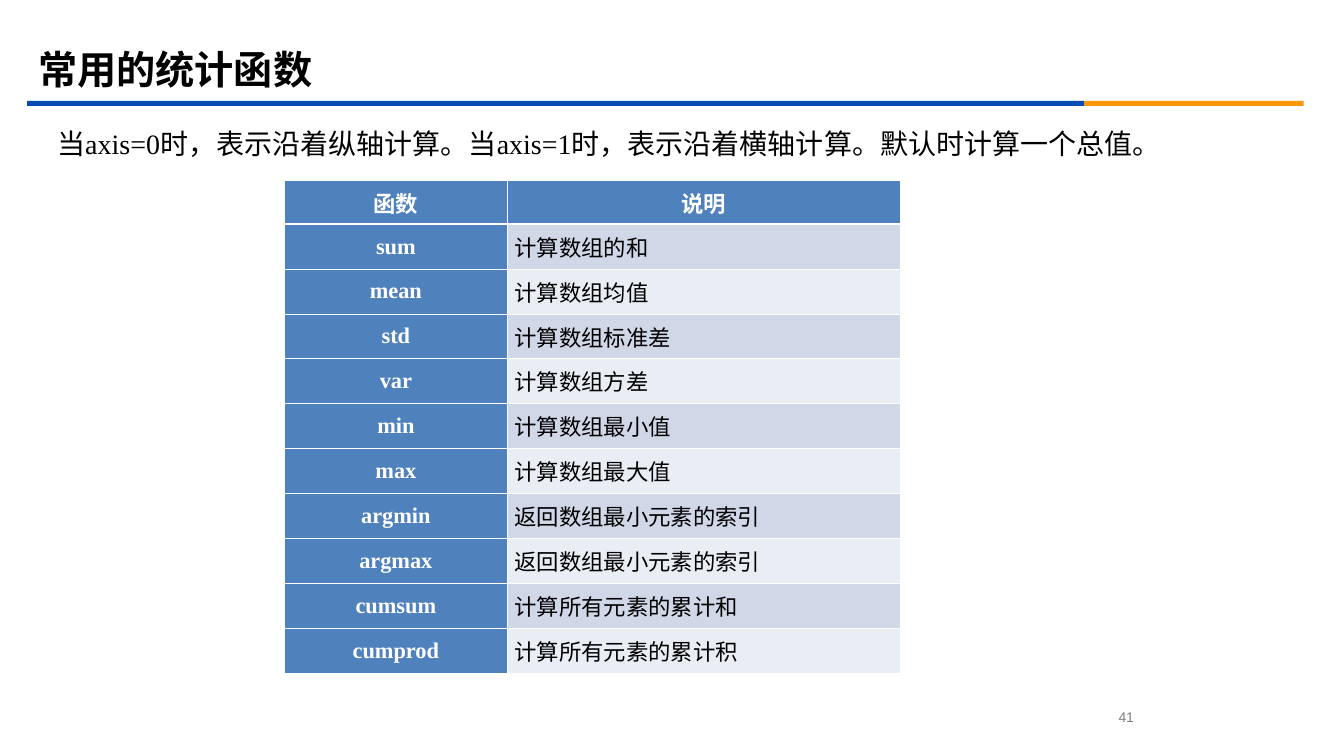
import dataclasses

import lxml.etree
import pptx
import pptx.dml.color
import pptx.enum.shapes
import pptx.enum.text
import pptx.oxml.ns
import pptx.util

Pt = pptx.util.Pt
RGBColor = pptx.dml.color.RGBColor
Align = pptx.enum.text.PP_ALIGN
Anchor = pptx.enum.text.MSO_ANCHOR

BLACK = RGBColor(0x00, 0x00, 0x00)
WHITE = RGBColor(0xFF, 0xFF, 0xFF)
GRAY = RGBColor(0x7F, 0x7F, 0x7F)
NAVY = RGBColor(0x06, 0x4B, 0xB2)
ORANGE = RGBColor(0xFB, 0x97, 0x08)
HEAD = RGBColor(0x4F, 0x81, 0xBD)
BANDS = RGBColor(0xD0, 0xD8, 0xE8), RGBColor(0xE9, 0xED, 0xF4)

SERIF = "Times New Roman"
ROWS = [
    ("函数", "说明"),
    ("sum", "计算数组的和"),
    ("mean", "计算数组均值"),
    ("std", "计算数组标准差"),
    ("var", "计算数组方差"),
    ("min", "计算数组最小值"),
    ("max", "计算数组最大值"),
    ("argmin", "返回数组最小元素的索引"),
    ("argmax", "返回数组最小元素的索引"),
    ("cumsum", "计算所有元素的累计和"),
    ("cumprod", "计算所有元素的累计积"),
]


@dataclasses.dataclass
class Box:
    left: float
    top: float
    width: float
    height: float

    def frame(self) -> list:
        return [Pt(v) for v in (self.left, self.top, self.width, self.height)]


@dataclasses.dataclass
class Look:
    size: float
    color: RGBColor
    bold: bool = False
    name: str = SERIF
    align: Align = Align.LEFT


@dataclasses.dataclass
class Bar:
    box: Box
    color: RGBColor


BARS = [
    Bar(Box(19.4, 72, 755.3, 3.6), NAVY),
    Bar(Box(774.7, 72, 157, 3.6), ORANGE),
]
LABEL = Look(16, WHITE, True, align=Align.CENTER)
NOTE = Look(16, BLACK, align=Align.JUSTIFY)


def assign(item: object, values: dict) -> None:
    for key, value in values.items():
        setattr(item, key, value)


def write(frame, text: str, look: Look) -> None:
    frame.text = text
    para = frame.paragraphs[0]
    para.alignment = look.align
    font = para.runs[0].font
    assign(font, {"size": Pt(look.size), "bold": look.bold, "name": look.name})
    font.color.rgb = look.color


def add_text(slide, box: Box, text: str, look: Look) -> None:
    frame = slide.shapes.add_textbox(*box.frame()).text_frame
    assign(frame, {"word_wrap": True, "vertical_anchor": Anchor.MIDDLE})
    write(frame, text, look)


def add_bar(slide, bar: Bar) -> None:
    kind = pptx.enum.shapes.MSO_SHAPE.RECTANGLE
    shape = slide.shapes.add_shape(kind, *bar.box.frame())
    shape.shadow.inherit = False
    shape.fill.solid()
    shape.fill.fore_color.rgb = bar.color
    shape.line.fill.background()


def add_edge(cell, side: str, width: float) -> None:
    tag = pptx.oxml.ns.qn
    props = cell._tc.get_or_add_tcPr()
    line = lxml.etree.SubElement(props, tag(f"a:ln{side}"), w=str(Pt(width)))
    fill = lxml.etree.SubElement(line, tag("a:solidFill"))
    lxml.etree.SubElement(fill, tag("a:srgbClr"), val=str(WHITE))


def fill_cell(cell, text: str, row: int, col: int) -> None:
    note = row > 0 and col > 0
    for side in "LRTB":
        thick = (row, side) in ((0, "B"), (1, "T"))
        add_edge(cell, side, 1.47 if thick else 0.45)
    cell.fill.solid()
    cell.fill.fore_color.rgb = BANDS[(row - 1) % 2] if note else HEAD
    assign(cell, {
        "vertical_anchor": Anchor.MIDDLE,
        "margin_left": Pt(5.4), "margin_right": Pt(5.4),
        "margin_top": Pt(3.6), "margin_bottom": Pt(3.6),
    })
    write(cell.text_frame, text, NOTE if note else LABEL)


def add_grid(slide, box: Box) -> None:
    table = slide.shapes.add_table(len(ROWS), 2, *box.frame()).table
    for col, width in zip(table.columns, (159, 281)):
        col.width = Pt(width)
    for i, texts in enumerate(ROWS):
        table.rows[i].height = Pt(32.1 if i else 31)
        for j, text in enumerate(texts):
            fill_cell(table.cell(i, j), text, i, j)


def add_title(slide, box: Box, text: str) -> None:
    title = slide.shapes.title
    assign(title, dict(zip(("left", "top", "width", "height"), box.frame())))
    assign(title.text_frame, {
        "vertical_anchor": Anchor.MIDDLE,
        "word_wrap": True,
        "auto_size": pptx.enum.text.MSO_AUTO_SIZE.NONE,
    })
    write(title.text_frame, text, Look(28, BLACK, True, "Calibri"))


def main() -> None:
    deck = pptx.Presentation()
    assign(deck, {"slide_width": Pt(960.5), "slide_height": Pt(540)})
    slide = deck.slides.add_slide(deck.slide_layouts[5])
    add_title(slide, Box(20.2, 28.1, 864, 41.8), "常用的统计函数")
    for bar in BARS:
        add_bar(slide, bar)
    add_text(slide, Box(33.8, 85.7, 874.8, 33.8),
             "当axis=0时，表示沿着纵轴计算。当axis=1时，表示沿着横轴计算。默认时计算一个总值。",
             Look(20, BLACK))
    add_grid(slide, Box(203.4, 129, 440, 352))
    add_text(slide, Box(782.6, 503.3, 44.6, 18), "41",
             Look(10, GRAY, name="Arial", align=Align.CENTER))
    deck.save("out.pptx")


if __name__ == "__main__":
    main()
